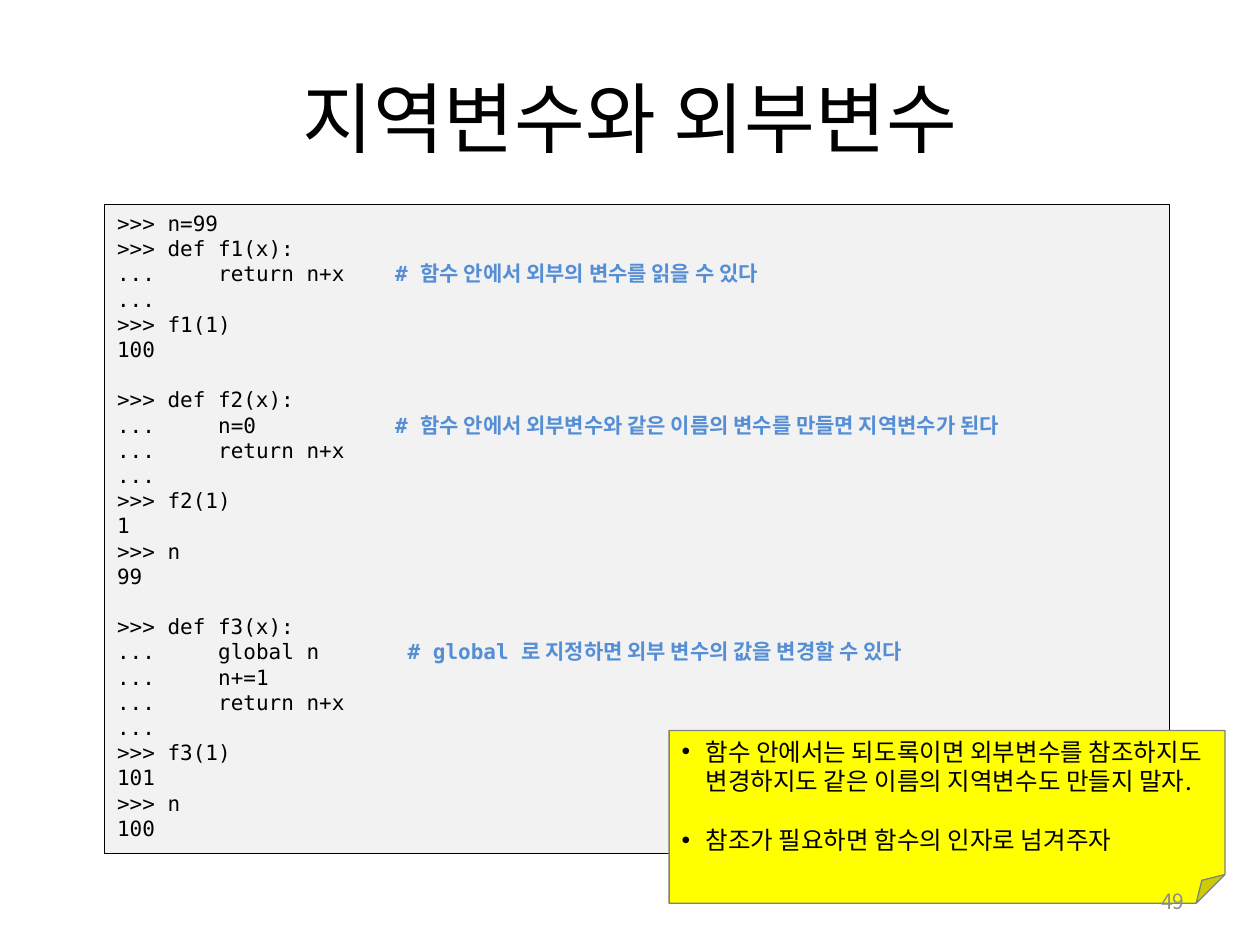
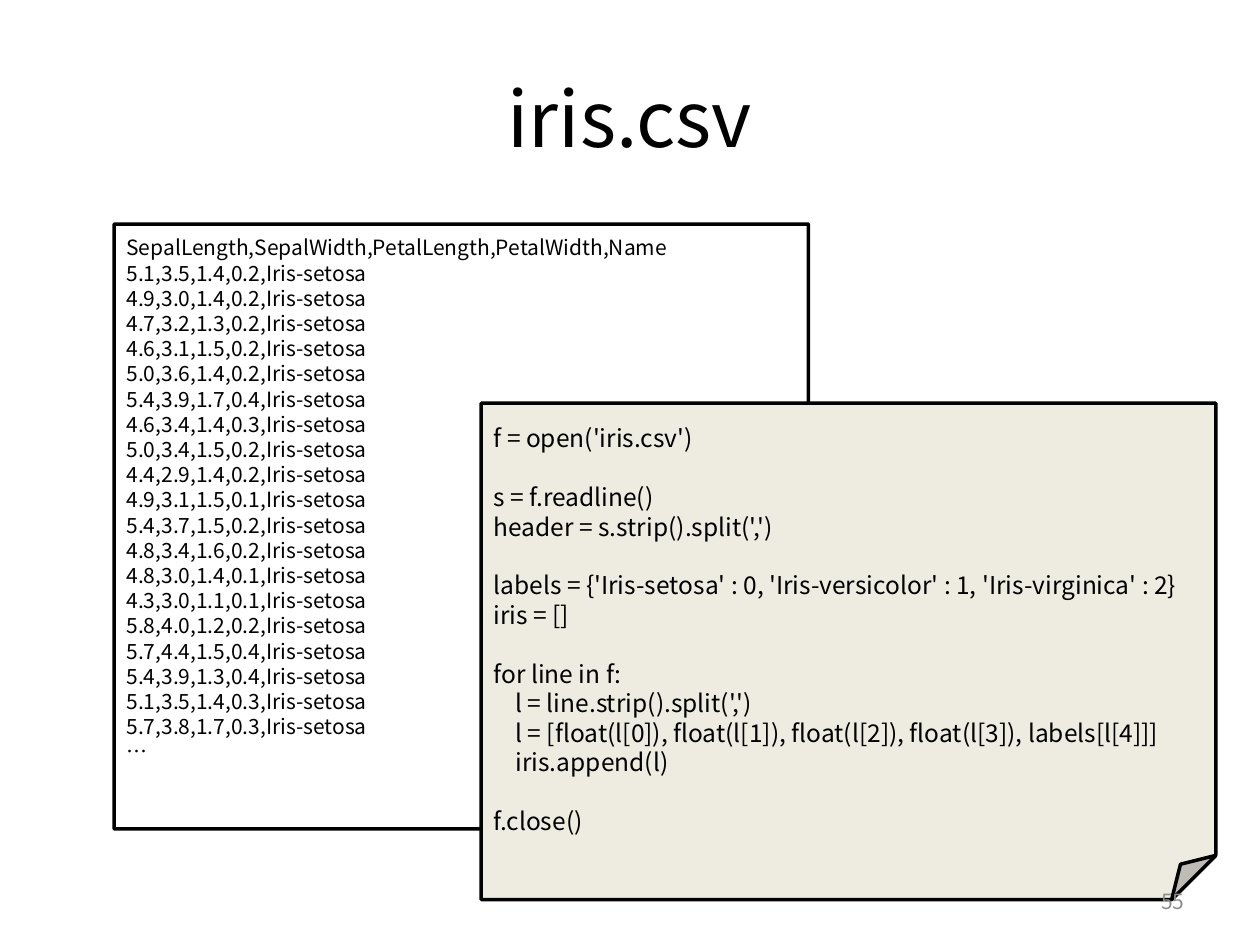
from dataclasses import dataclass

from lxml.etree import SubElement as Sub
from pptx import Presentation
from pptx.dml.color import RGBColor as Rgb
from pptx.enum.shapes import MSO_SHAPE as Shape
from pptx.enum.text import MSO_ANCHOR as Anchor, PP_ALIGN as Align
from pptx.oxml.ns import qn
from pptx.util import Pt

# Shared look
HUE = {
    "ink": "000000", "note": "558ED5", "page": "8C8C8C", "edge": "808080",
    "code": "F2F2F2", "memo": "FFFF00", "sand": "EEECE1", "white": "FFFFFF",
}
SANS, MONO = "Noto Sans CJK KR", "DejaVu Sans Mono"
LEAD = 1.2       # line height over text size
CHAR = 7.22      # width of one 12 pt mono character
STOPS = (8, 22, 23)  # tab columns for code and comments
STEP = 12.5      # indent of a nested line of code


@dataclass
class Box:
    left: float
    top: float
    width: float
    height: float
    fill: str
    text: str
    size: float = 14
    font: str = SANS
    edge: str = "ink"
    line: float = 2
    fold: float | None = 0.089
    kind: Shape = Shape.FOLDED_CORNER
    anchor: Anchor = Anchor.MIDDLE
    dots: bool = False


def add_run(para, text: str, size: float, font: str = SANS,
            hue: str = "ink", bold: bool = False) -> None:
    run = para.add_run()
    run.text = text
    face = run.font
    face.size, face.name, face.bold = Pt(size), font, bold
    face.color.rgb = Rgb.from_string(HUE[hue])
    Sub(run._r.get_or_add_rPr(), qn("a:ea")).set("typeface", SANS)


def add_dot(para) -> None:
    prop = para._p.get_or_add_pPr()
    prop.set("marL", str(Pt(13.7)))
    prop.set("indent", str(Pt(-13.7)))
    Sub(prop, qn("a:buFont")).set("typeface", "Arial")
    Sub(prop, qn("a:buChar")).set("char", "•")


def add_tabs(para) -> None:
    tabs = Sub(para._p.get_or_add_pPr(), qn("a:tabLst"))
    for col in STOPS:
        tab = Sub(tabs, qn("a:tab"))
        tab.set("pos", str(Pt(col * CHAR)))
        tab.set("algn", "l")


def add_lines(frame, box: Box) -> None:
    """One paragraph a line; an empty line becomes space before the next."""
    gap, first = 0.0, True
    for line in box.text.splitlines():
        if not line:
            gap += box.size * LEAD
            continue
        para = frame.paragraphs[0] if first else frame.add_paragraph()
        para.alignment = Align.LEFT
        para.line_spacing = Pt(box.size * LEAD)
        para.space_before = Pt(gap)
        gap, first = 0.0, False
        if box.dots:
            add_dot(para)
        if "\t" in line:
            add_tabs(para)
        body = line.lstrip(" ")
        if body != line:
            para._p.get_or_add_pPr().set("marL", str(Pt(STEP)))
        code, mark, note = body.partition("#")
        add_run(para, code, box.size, box.font)
        if mark:
            add_run(para, mark + note, box.size, box.font, "note", True)


def set_fold(shape, part: float) -> None:
    geom = shape._element.spPr.find(qn("a:prstGeom"))
    guide = Sub(geom.get_or_add_avLst(), qn("a:gd"))
    guide.set("name", "adj")
    guide.set("fmla", f"val {round(part * 100000)}")


def add_box(slide, box: Box) -> None:
    shape = slide.shapes.add_shape(box.kind, Pt(box.left), Pt(box.top),
                                   Pt(box.width), Pt(box.height))
    shape.shadow.inherit = False
    shape.fill.solid()
    shape.fill.fore_color.rgb = Rgb.from_string(HUE[box.fill])
    shape.line.color.rgb = Rgb.from_string(HUE[box.edge])
    shape.line.width = Pt(box.line)
    if box.fold is not None:
        set_fold(shape, box.fold)
    frame = shape.text_frame
    frame.word_wrap = True
    frame.vertical_anchor = box.anchor
    add_lines(frame, box)


def add_label(slide, text: str, area: tuple[float, ...], size: float,
              align: Align, hue: str) -> None:
    frame = slide.shapes.add_textbox(*map(Pt, area)).text_frame
    frame.word_wrap = True
    frame.vertical_anchor = Anchor.MIDDLE
    para = frame.paragraphs[0]
    para.alignment = align
    add_run(para, text, size, hue=hue)


def add_slide(deck, title: str, page: int, boxes: list[Box]) -> None:
    slide = deck.slides.add_slide(deck.slide_layouts[6])
    add_label(slide, title, (36, 21.6, 648, 90), 44, Align.CENTER, "ink")
    for box in boxes:
        add_box(slide, box)
    add_label(slide, str(page), (516, 500.5, 168, 28.8), 12,
              Align.RIGHT, "page")


# Wording
SCOPE = """\
>>> n=99
>>> def f1(x):
...\treturn n+x\t# 함수 안에서 외부의 변수를 읽을 수 있다
...
>>> f1(1)
100

>>> def f2(x):
...\tn=0\t# 함수 안에서 외부변수와 같은 이름의 변수를 만들면 지역변수가 된다
...\treturn n+x
...
>>> f2(1)
1
>>> n
99

>>> def f3(x):
...\tglobal n\t\t# global 로 지정하면 외부 변수의 값을 변경할 수 있다
...\tn+=1
...\treturn n+x
...
>>> f3(1)
101
>>> n
100"""

ADVICE = """\
함수 안에서는 되도록이면 외부변수를 참조하지도 변경하지도 같은 이름의 지역변수도 만들지 말자.

참조가 필요하면 함수의 인자로 넘겨주자"""

ROWS = """\
5.1,3.5,1.4,0.2
4.9,3.0,1.4,0.2
4.7,3.2,1.3,0.2
4.6,3.1,1.5,0.2
5.0,3.6,1.4,0.2
5.4,3.9,1.7,0.4
4.6,3.4,1.4,0.3
5.0,3.4,1.5,0.2
4.4,2.9,1.4,0.2
4.9,3.1,1.5,0.1
5.4,3.7,1.5,0.2
4.8,3.4,1.6,0.2
4.8,3.0,1.4,0.1
4.3,3.0,1.1,0.1
5.8,4.0,1.2,0.2
5.7,4.4,1.5,0.4
5.4,3.9,1.3,0.4
5.1,3.5,1.4,0.3
5.7,3.8,1.7,0.3"""
TABLE = "\n".join([
    "SepalLength,SepalWidth,PetalLength,PetalWidth,Name",
    *(f"{row},Iris-setosa" for row in ROWS.splitlines()),
    "…",
])

READER = """\
f = open('iris.csv')

s = f.readline()
header = s.strip().split(',')

labels = {'Iris-setosa' : 0, 'Iris-versicolor' : 1, 'Iris-virginica' : 2}
iris = []

for line in f:
    l = line.strip().split(',')
    l = [float(l[0]), float(l[1]), float(l[2]), float(l[3]), labels[l[4]]]
    iris.append(l)

f.close()"""

# Slides
deck = Presentation()
deck.slide_width, deck.slide_height = Pt(720), Pt(540)

add_slide(deck, "지역변수와 외부변수", 49, [
    Box(59.8, 116.8, 608.4, 370.8, "code", SCOPE, size=12, font=MONO,
        line=0.75, fold=None, kind=Shape.RECTANGLE, anchor=Anchor.TOP),
    Box(382.4, 417.4, 317.6, 98.8, "memo", ADVICE, edge="edge", line=0.75,
        fold=None, anchor=Anchor.TOP, dots=True),
])
add_slide(deck, "iris.csv", 55, [
    Box(65.2, 128.1, 396.8, 345.6, "white", TABLE, size=12),
    Box(275, 230.4, 419.8, 283.7, "sand", READER),
])

deck.save("out.pptx")
